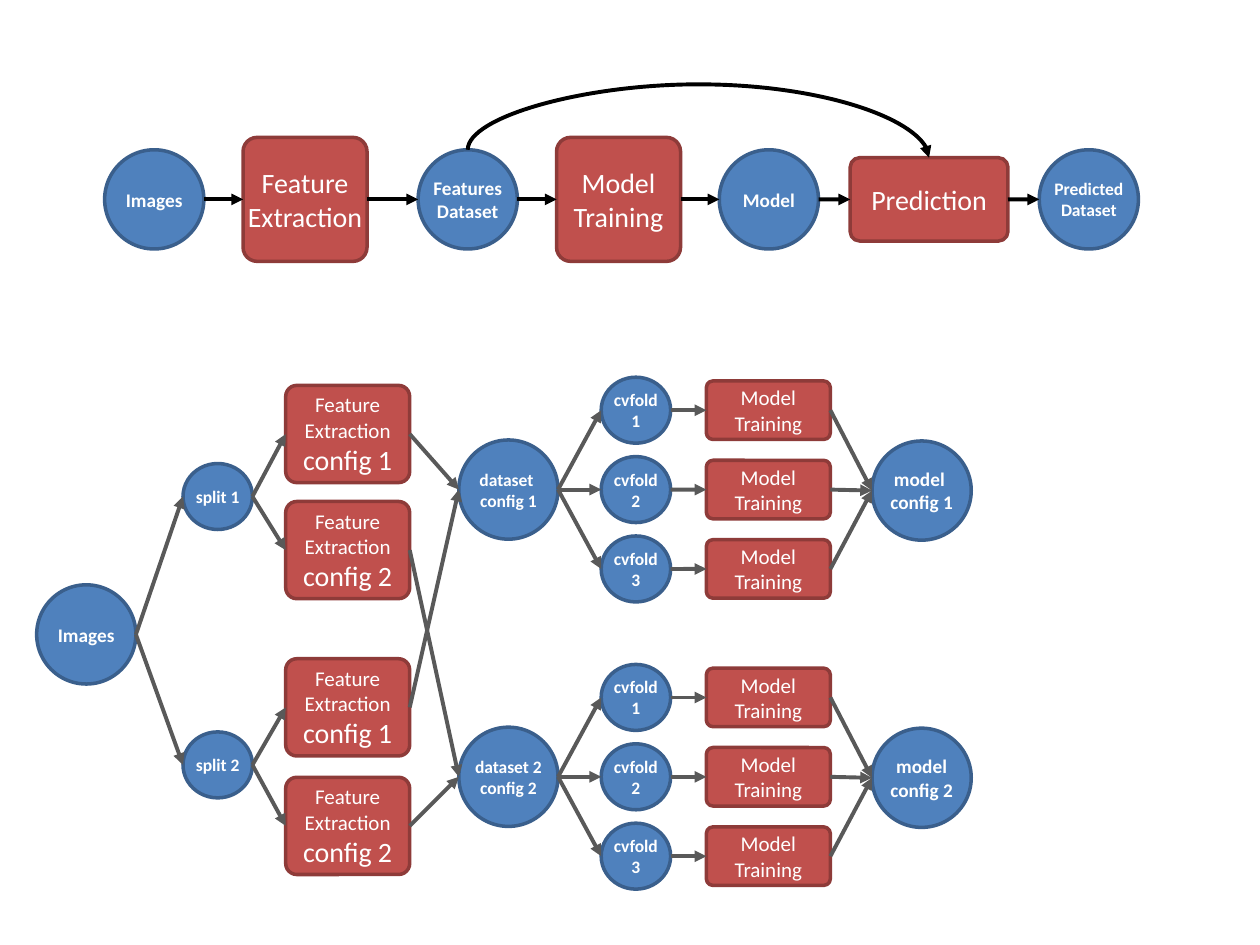
"""Builds a slide with a learning pipeline and its cross-validated expansion."""
from lxml import etree
from pptx import Presentation
from pptx.dml.color import RGBColor
from pptx.enum.shapes import MSO_CONNECTOR, MSO_SHAPE
from pptx.enum.text import MSO_ANCHOR, PP_ALIGN
from pptx.oxml.ns import qn
from pptx.util import Cm, Pt

ELLIPSE = MSO_SHAPE.OVAL
ROUNDED = MSO_SHAPE.ROUNDED_RECTANGLE
STRAIGHT = MSO_CONNECTOR.STRAIGHT
CURVE = MSO_CONNECTOR.CURVE
MIDDLE = MSO_ANCHOR.MIDDLE
CENTER = PP_ALIGN.CENTER

BLUE = RGBColor(0x4F, 0x81, 0xBD)
BLUE_EDGE = RGBColor(0x3A, 0x5F, 0x8C)
RED = RGBColor(0xC0, 0x50, 0x4D)
RED_EDGE = RGBColor(0x8E, 0x3B, 0x39)
WHITE = RGBColor(0xFF, 0xFF, 0xFF)
BLACK = RGBColor(0, 0, 0)
GRAY = RGBColor(0x59, 0x59, 0x59)

LARGE = (2, 2)
SMALL = (1.4, 1.33)
SQUARE = (2.5, 2.5)
CONFIG = (2.5, 1.96)
TRAINING = (2.5, 1.18)


class Flowchart:
    """Draws data circles, process boxes and arrows on one slide."""

    font = "Calibri"

    def __init__(self, slide):
        self.shapes = slide.shapes

    def node(self, kind, text, center, size, points, fill, edge, bold):
        (x, y), (width, height) = center, size
        node = self.shapes.add_shape(
            kind, Cm(x - width / 2), Cm(y - height / 2), Cm(width), Cm(height))
        node.shadow.inherit = False
        node.fill.solid()
        node.fill.fore_color.rgb = fill
        node.line.color.rgb = edge
        node.line.width = Pt(2)
        frame = node.text_frame
        frame.margin_left = frame.margin_right = 0
        frame.margin_top = frame.margin_bottom = 0
        frame.vertical_anchor = MIDDLE
        frame.word_wrap = True
        frame.text = text
        for paragraph in frame.paragraphs:
            paragraph.alignment = CENTER
            for run in paragraph.runs:
                run.font.name = self.font
                run.font.size = Pt(points)
                run.font.bold = bold
                run.font.color.rgb = WHITE
        return node

    def data(self, text, center, size=LARGE, points=11):
        return self.node(ELLIPSE, text, center, size, points, BLUE, BLUE_EDGE, True)

    def process(self, text, center, size, points=12):
        box = self.node(ROUNDED, text, center, size, points, RED, RED_EDGE, False)
        box.adjustments[0] = 0.114
        return box

    def connector(self, kind, ends, color):
        link = self.shapes.add_connector(kind, *map(int, ends))
        link.line.color.rgb = color
        link.line.width = Pt(2.25)
        properties = link.element.spPr
        etree.SubElement(properties.get_or_add_ln(), qn("a:tailEnd"), type="triangle")
        etree.SubElement(properties, qn("a:effectLst"))
        return link

    def arrow(self, source, target, color=GRAY):
        ends = (source.left + source.width, source.top + source.height / 2,
                target.left, target.top + target.height / 2)
        self.connector(STRAIGHT, ends, color)

    def arch(self, source, target, rise, color):
        start = source.left + source.width / 2
        end = target.left + target.width / 2
        run, drop = end - start, target.top - source.top
        x, y = (start + end) / 2, (source.top + target.top) / 2
        link = self.connector(
            CURVE, (x + drop / 2, y - run / 2, x - drop / 2, y + run / 2), color)
        link.rotation = 270
        bends = link.element.spPr.find(qn("a:prstGeom")).find(qn("a:avLst"))
        etree.SubElement(bends, qn("a:gd"), name="adj1",
                         fmla=f"val {round(-rise / drop * 100000)}")


def draw_overview(chart):
    y = 4.02
    images = chart.data("Images", (3.11, y))
    extraction = chart.process("Feature\nExtraction", (6.15, y), SQUARE, 16)
    features = chart.data("Features\nDataset", (9.43, y))
    training = chart.process("Model\nTraining", (12.47, y), SQUARE, 16)
    model = chart.data("Model", (15.5, y))
    prediction = chart.process("Prediction", (18.73, y), (3.18, 1.68), 16)
    predicted = chart.data("Predicted\nDataset", (21.95, y), points=10)
    steps = [images, extraction, features, training, model, prediction, predicted]
    for source, target in zip(steps, steps[1:]):
        chart.arrow(source, target, BLACK)
    chart.arch(features, prediction, Cm(1.32), BLACK)


def draw_splits(chart, datasets):
    images = chart.data("Images", (1.74, 12.79))
    for number, y, config_rows in ((1, 10.01, (8.75, 11.09)),
                                   (2, 15.42, (14.26, 16.65))):
        split = chart.data(f"split {number}", (4.39, y), SMALL, 10)
        chart.arrow(images, split)
        for config, (row, dataset) in enumerate(zip(config_rows, datasets), 1):
            extraction = chart.process(
                f"Feature\nExtraction\nconfig {config}", (7.01, row), CONFIG)
            extraction.text_frame.paragraphs[-1].runs[0].font.size = Pt(16)
            chart.arrow(split, extraction)
            chart.arrow(extraction, dataset)


def draw_folds(chart, dataset_text, model_text, y):
    dataset = chart.data(dataset_text, (10.25, y), points=10)
    model = chart.data(model_text, (18.58, y + 0.02))
    for fold in (1, 2, 3):
        row = y + (fold - 2) * 1.6
        cvfold = chart.data(f"cvfold {fold}", (12.82, row), SMALL, 10)
        training = chart.process("Model Training", (15.49, row), TRAINING)
        chart.arrow(dataset, cvfold)
        chart.arrow(cvfold, training)
        chart.arrow(training, model)
    return dataset


def main():
    presentation = Presentation()
    presentation.slide_width = Cm(25.4)
    presentation.slide_height = Cm(19.05)
    chart = Flowchart(presentation.slides.add_slide(presentation.slide_layouts[6]))
    draw_overview(chart)
    datasets = [
        draw_folds(chart, "dataset \nconfig 1", "model \nconfig 1", 9.87),
        draw_folds(chart, "dataset 2\nconfig 2", "model config 2", 15.66),
    ]
    draw_splits(chart, datasets)
    presentation.save("out.pptx")


if __name__ == "__main__":
    main()
